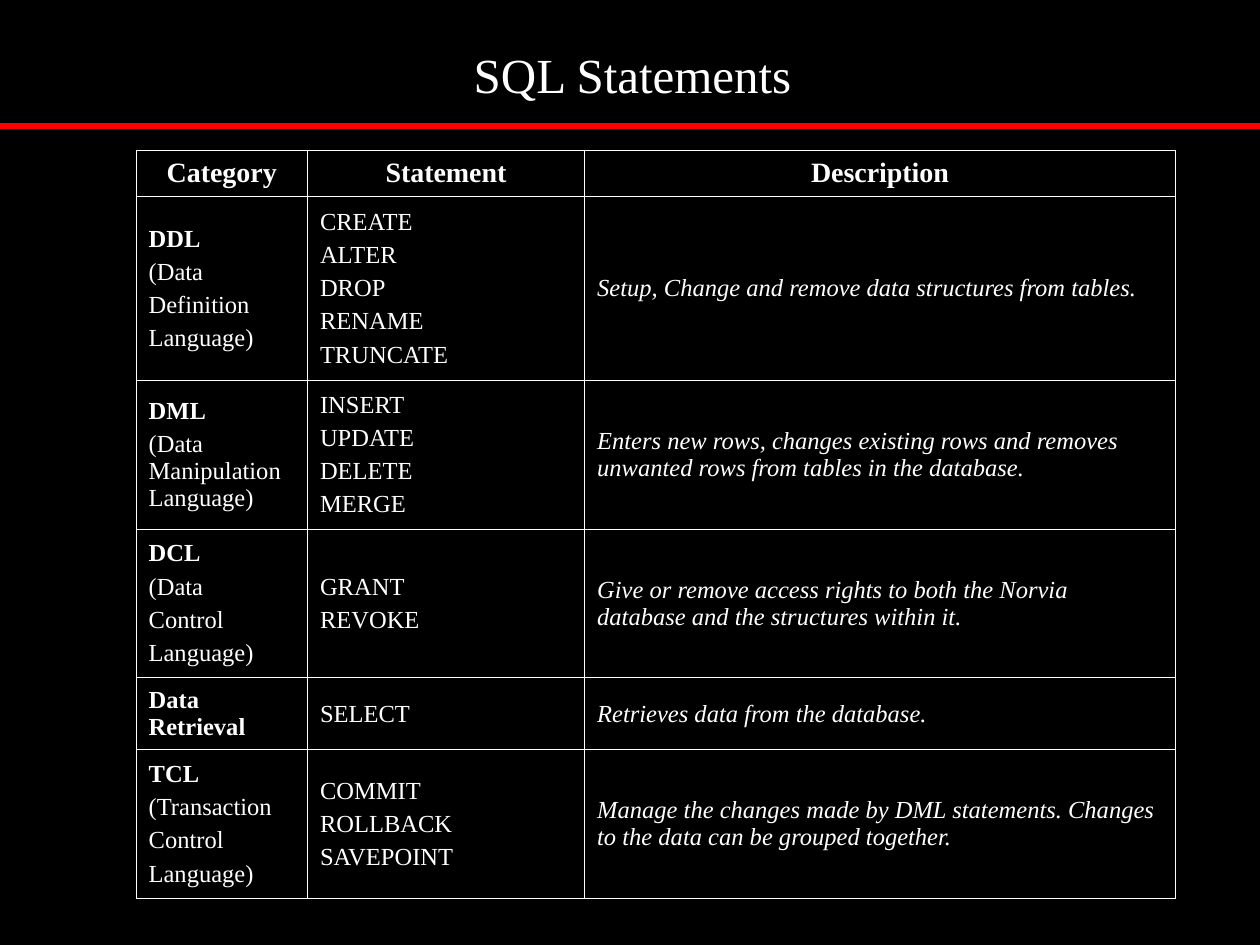
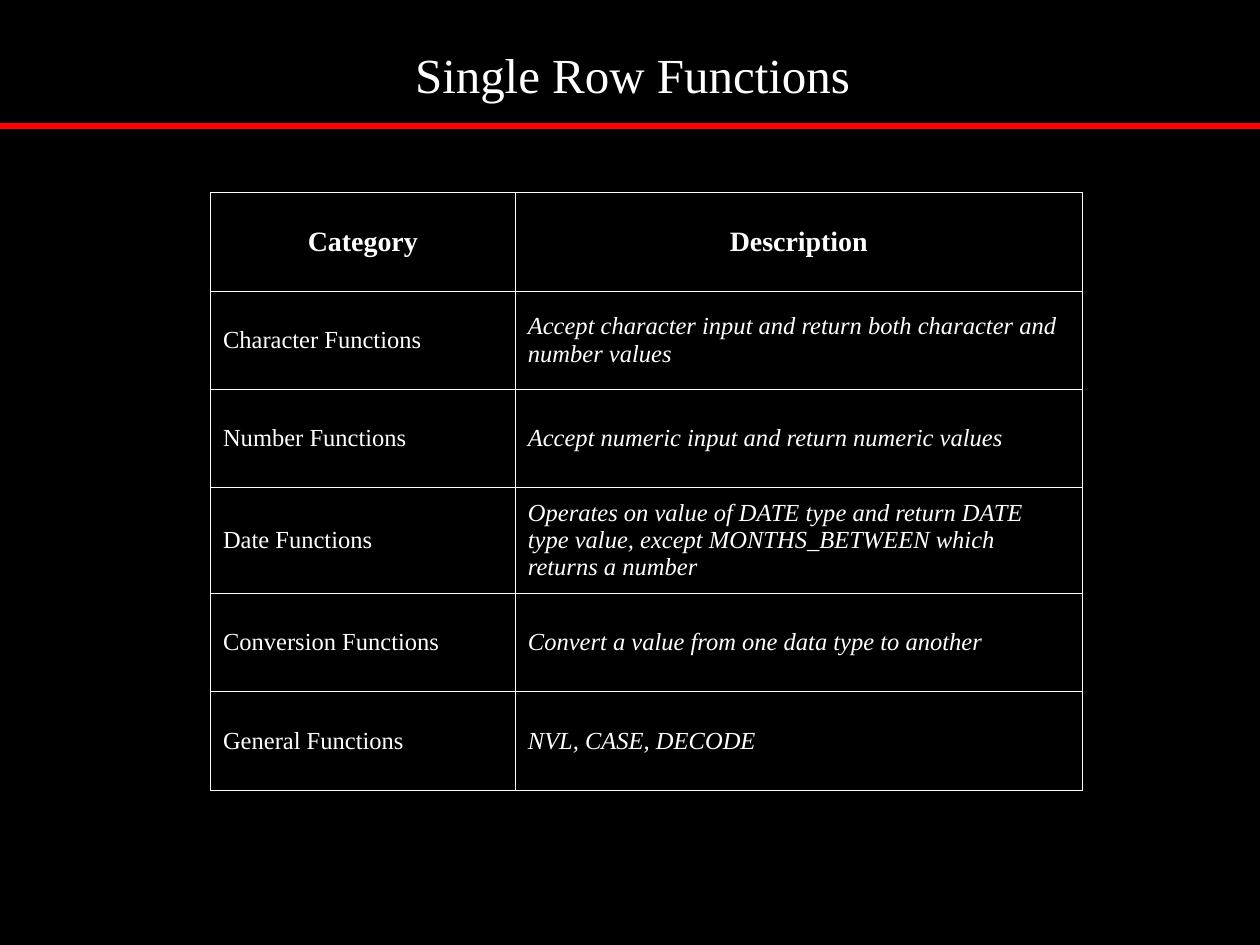
from lxml.etree import fromstring
from pptx import Presentation
from pptx.dml.color import RGBColor
from pptx.enum.shapes import MSO_CONNECTOR
from pptx.enum.text import MSO_ANCHOR, MSO_AUTO_SIZE, PP_ALIGN
from pptx.oxml import parse_xml
from pptx.oxml.ns import nsdecls
from pptx.util import Inches, Pt

FACE = "Times New Roman"
BLACK, WHITE, RED = "000000", "FFFFFF", "FF0000"

PAGES = [
    {
        "title": "SQL Statements",
        "at": (1.08, 1.19),
        "cols": [1.36, 2.2, 4.69],
        "rows": [0.37, 1.46, 1.18, 1.18, 0.57, 1.18],
        "lead": True,
        "cells": [
            ("Category", "Statement", "Description"),
            ("DDL\n(Data\nDefinition\nLanguage)",
             "CREATE\nALTER\nDROP\nRENAME\nTRUNCATE",
             "Setup, Change and remove data structures from tables."),
            ("DML\n(Data Manipulation Language)",
             "INSERT\nUPDATE\nDELETE\nMERGE",
             "Enters new rows, changes existing rows and removes "
             "unwanted rows from tables in the database."),
            ("DCL\n(Data\nControl\nLanguage)",
             "GRANT\nREVOKE",
             "Give or remove access rights to both the Norvia "
             "database and the structures within it."),
            ("Data Retrieval",
             "SELECT",
             "Retrieves data from the database."),
            ("TCL\n(Transaction\nControl\nLanguage)",
             "COMMIT\nROLLBACK\nSAVEPOINT",
             "Manage the changes made by DML statements. "
             "Changes to the data can be grouped together."),
        ],
    },
    {
        "title": "Single Row Functions",
        "at": (1.67, 1.53),
        "cols": [2.42, 4.5],
        "rows": [0.78, 0.78, 0.78, 0.84, 0.78, 0.78],
        "lead": False,
        "cells": [
            ("Category", "Description"),
            ("Character Functions",
             "Accept character input and return both character "
             "and number values"),
            ("Number Functions",
             "Accept numeric input and return numeric values"),
            ("Date Functions",
             "Operates on value of DATE type and return DATE type value, "
             "except MONTHS_BETWEEN which returns a number"),
            ("Conversion Functions",
             "Convert a value from one data type to another"),
            ("General Functions", "NVL, CASE, DECODE"),
        ],
    },
]


def color(code):
    return RGBColor.from_string(code)


def style(para, size, bold=False, italic=False, center=False):
    para.alignment = PP_ALIGN.CENTER if center else PP_ALIGN.LEFT
    font = para.font
    font.name, font.size = FACE, Pt(size)
    font.bold, font.italic = bold, italic
    font.color.rgb = color(WHITE)


def add_title(slide, text):
    title = slide.shapes.title
    title.left, title.top = Inches(0.77), Inches(0.25)
    title.width, title.height = Inches(8.5), Inches(0.67)
    frame = title.text_frame
    frame.text = text
    frame.auto_size = MSO_AUTO_SIZE.NONE
    frame.vertical_anchor = MSO_ANCHOR.MIDDLE
    style(frame.paragraphs[0], 28, center=True)


def add_rule(slide):
    rule = slide.shapes.add_connector(
        MSO_CONNECTOR.STRAIGHT, 0, Inches(1), Inches(10), Inches(1))
    rule.line.color.rgb = color(RED)
    rule.line.width = Pt(3)
    props = rule.element.spPr
    props.append(parse_xml(f"<a:effectLst {nsdecls('a')}/>"))


def add_border(cell):
    props = cell._tc.get_or_add_tcPr()
    for spot, side in enumerate("LRTB"):
        props.insert(spot, parse_xml(
            f'<a:ln{side} {nsdecls("a")} w="{Pt(0.45)}"><a:solidFill>'
            f'<a:srgbClr val="{WHITE}"/></a:solidFill></a:ln{side}>'))


def fill_cell(cell, text, head, lead, italic):
    cell.text = text
    cell.vertical_anchor = MSO_ANCHOR.MIDDLE
    cell.fill.solid()
    cell.fill.fore_color.rgb = color(BLACK)
    add_border(cell)
    for spot, para in enumerate(cell.text_frame.paragraphs):
        bold = head or (lead and spot == 0)
        style(para, 16 if head else 14, bold, italic, head)
        para.space_before = Pt(3.5 if spot else 0)


def add_grid(slide, page):
    cols, rows = page["cols"], page["rows"]
    left, top = page["at"]
    grid = slide.shapes.add_table(
        len(rows), len(cols), Inches(left), Inches(top),
        Inches(sum(cols)), Inches(sum(rows))).table
    grid.first_row = grid.horz_banding = False
    for col, width in zip(grid.columns, cols):
        col.width = Inches(width)
    for row, height in zip(grid.rows, rows):
        row.height = Inches(height)
    for r, line in enumerate(page["cells"]):
        for c, text in enumerate(line):
            head = r == 0
            lead = page["lead"] and c == 0
            italic = not head and c == len(cols) - 1
            fill_cell(grid.cell(r, c), text, head, lead, italic)


def main():
    """Build the two table slides on a shared black master."""
    deck = Presentation()
    deck.slide_width, deck.slide_height = Inches(10), Inches(7.5)
    back = deck.slide_master.background.fill
    back.solid()
    back.fore_color.rgb = color(BLACK)
    for page in PAGES:
        slide = deck.slides.add_slide(deck.slide_layouts[5])
        add_title(slide, page["title"])
        add_rule(slide)
        add_grid(slide, page)
    deck.save("out.pptx")


if __name__ == "__main__":
    main()
